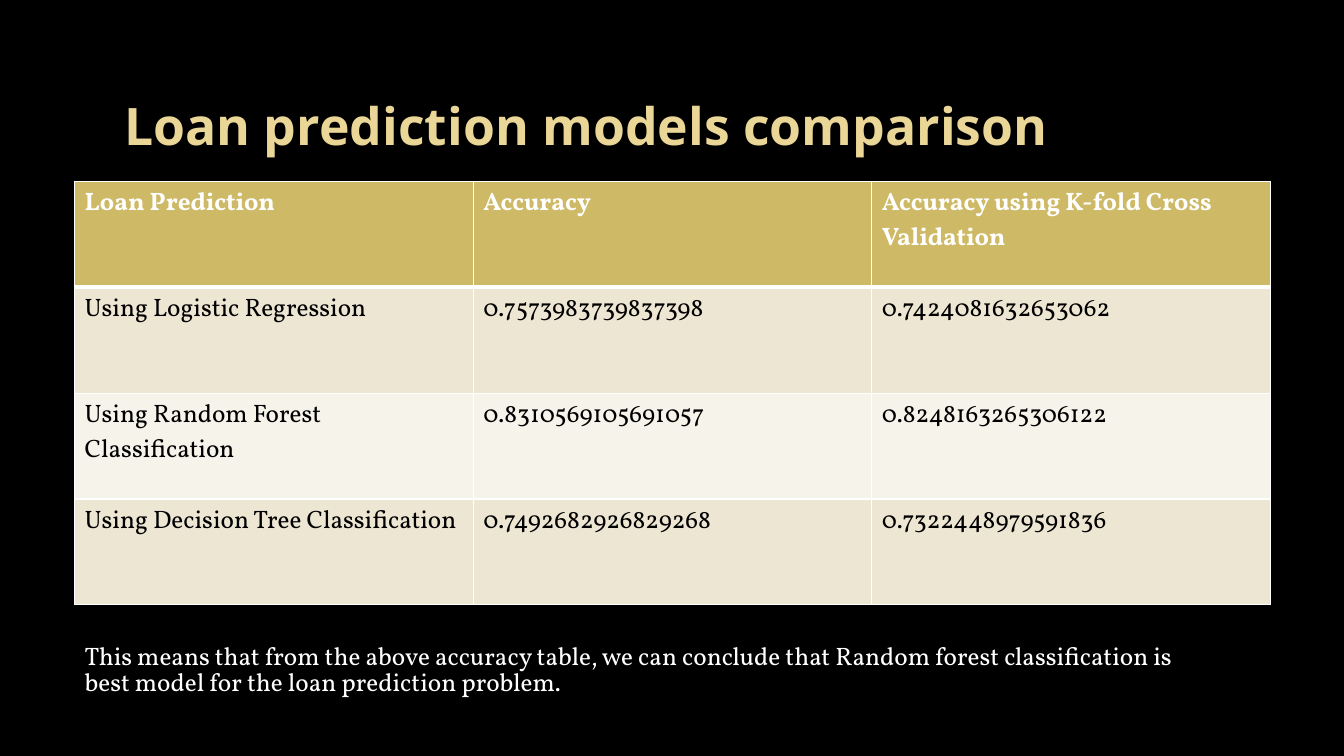
from lxml import etree
from pptx import Presentation
from pptx import util as u
from pptx.dml.color import RGBColor
from pptx.enum import text
from pptx.oxml.ns import qn

COLORS = {
    "background": "000000", "title": "EAD696", "light": "FFFFFF", "dark": "000000",
    "header": "CEB966", "odd_row": "EDE6D3", "even_row": "F6F3EA",
}
TITLE = {"name": "Noto Sans", "size": u.Pt(36.9), "bold": True}
BODY = {"name": "Vollkorn", "size": u.Pt(18), "bold": False}
HEADER = {**BODY, "bold": True}

MODELS = [
    ("Loan Prediction", "Accuracy", "Accuracy using K-fold Cross Validation"),
    ("Using Logistic Regression", "0.7573983739837398", "0.7424081632653062"),
    ("Using Random Forest Classification", "0.8310569105691057", "0.8248163265306122"),
    ("Using Decision Tree Classification", "0.7492682926829268", "0.7322448979591836"),
]


class Deck:
    def __init__(self, width, height):
        self.prs = Presentation()
        self.prs.slide_width, self.prs.slide_height = u.Inches(width), u.Inches(height)
        self.s = self.prs.slides.add_slide(self.prs.slide_layouts[6])
        self.paint(self.s.background.fill, "background")

    def paint(self, fill, color):
        fill.solid()
        fill.fore_color.rgb = RGBColor.from_string(COLORS[color])

    def add_words(self, tf, words, font, color, **layout):
        p = tf.paragraphs[0]
        for key, value in layout.items():
            setattr(p, key, value)
        r = p.add_run()
        r.text = words
        for key, value in font.items():
            setattr(r.font, key, value)
        r.font.color.rgb = RGBColor.from_string(COLORS[color])

    def text_box(self, box, words, font, color, frame, **layout):
        sp = self.s.shapes.add_textbox(*map(u.Inches, box))
        tf = sp.text_frame
        for key, value in {"word_wrap": True, **frame}.items():
            setattr(tf, key, value)
        self.add_words(tf, words, font, color, **layout)

    def borders(self, cell, widths):
        tc_pr = cell._tc.get_or_add_tcPr()
        for side, width in widths.items():
            ln = etree.SubElement(tc_pr, qn(f"a:ln{side}"), w=str(u.Pt(width)))
            fill = etree.SubElement(ln, qn("a:solidFill"))
            etree.SubElement(fill, qn("a:srgbClr"), val=COLORS["light"])

    def table(self, box, rows):
        sp = self.s.shapes.add_table(len(rows), len(rows[0]), *map(u.Inches, box))
        for i, row in enumerate(rows):
            is_header = i == 0
            font, color = (HEADER, "light") if is_header else (BODY, "dark")
            fill = "header" if is_header else "odd_row" if i % 2 else "even_row"
            # The rule under the header is shared by the first two rows
            widths = {"L": 1, "R": 1, "T": 3 if i == 1 else 1, "B": 3 if is_header else 1}
            for j, words in enumerate(row):
                cell = sp.table.cell(i, j)
                self.borders(cell, widths)
                self.paint(cell.fill, fill)
                self.add_words(cell.text_frame, words, font, color)


def main():
    deck = Deck(13.33, 7.5)

    # Title
    deck.text_box((0.74, 0.67, 10.15, 1.14), "Loan prediction models comparison",
                  TITLE, "title", {"vertical_anchor": text.MSO_ANCHOR.MIDDLE},
                  alignment=text.PP_ALIGN.CENTER)

    # Accuracy of each model
    deck.table((0.74, 1.8, 11.86, 4.2), MODELS)

    # Conclusion
    deck.text_box((0.74, 6.3, 11.42, 0.71),
                  "This means that from the above accuracy table, we can conclude that "
                  "Random forest classification is best model for the loan prediction problem.",
                  BODY, "light", {"margin_top": u.Inches(0.1)}, line_spacing=0.86)

    deck.prs.save("out.pptx")


if __name__ == "__main__":
    main()
